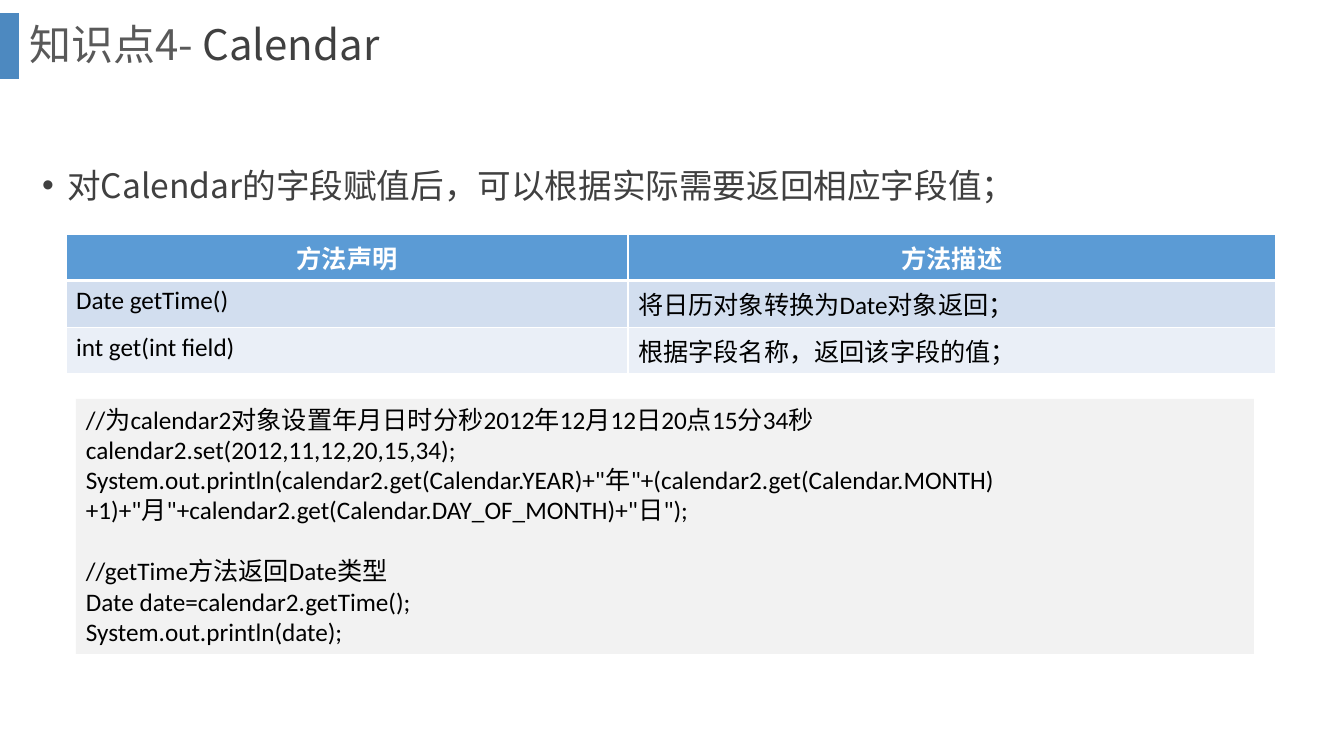
"""Build the Calendar slide with its method table and code sample."""
from lxml import etree
from pptx import Presentation
from pptx import util as u
from pptx.dml.color import RGBColor
from pptx.enum import shapes, text
from pptx.oxml.ns import qn

HEADING = [("知识点4- ", "595959"), ("Calendar", "404040")]
POINT = "对Calendar的字段赋值后，可以根据实际需要返回相应字段值；"
METHODS = [
    ("方法声明", "方法描述"),
    ("Date getTime()", "将日历对象转换为Date对象返回；"),
    ("int get(int field)", "根据字段名称，返回该字段的值；"),
]
ROW_FILLS = ["5B9BD5", "D2DEEF", "EAEFF7"]
CODE_BLOCKS = [
    [
        "//为calendar2对象设置年月日时分秒2012年12月12日20点15分34秒",
        "calendar2.set(2012,11,12,20,15,34);",
        'System.out.println(calendar2.get(Calendar.YEAR)+"年"+(calendar2.get(Calendar.MONTH)+1)'
        '+"月"+calendar2.get(Calendar.DAY_OF_MONTH)+"日");',
    ],
    [
        "//getTime方法返回Date类型",
        "Date date=calendar2.getTime();",
        "System.out.println(date);",
    ],
]
CJK, LATIN = "Noto Sans CJK SC", "Calibri"
SLIDE = (1344, 756)
BAR = (0, 13, 19, 66)
HEADING_BOX = (19, 0, 1276, 94)
POINT_BOX = (32, 140, 1215, 114)
TABLE_BOX = (66, 234, 1210, 123)
METHOD_COLUMNS = (562, 648)
CODE_BOX = (76, 399, 1178, 255)
BULLET_INDENT = 25
BLOCK_GAP = 22


def px(*lengths):
    return [u.Emu(round(length * 914400 / 100.8)) for length in lengths]


def color(value):
    return RGBColor.from_string(value)


def add(parent, tag, **attributes):
    return etree.SubElement(parent, qn(tag), attributes)


def write(paragraph, words, size=18, font=LATIN, ink="000000", bold=False,
          align=text.PP_ALIGN.LEFT, before=0, spacing=1.0):
    paragraph.alignment = align
    paragraph.space_before = u.Pt(before)
    paragraph.line_spacing = spacing
    run = paragraph.add_run()
    run.text = words
    run.font.size, run.font.name, run.font.bold = u.Pt(size), font, bold
    run.font.color.rgb = color(ink)
    add(run.font._element, "a:ea", typeface=CJK)


def add_panel(slide, box, fill):
    panel = slide.shapes.add_shape(shapes.MSO_SHAPE.RECTANGLE, *px(*box))
    panel.shadow.inherit = False
    panel.fill.solid()
    panel.fill.fore_color.rgb = color(fill)
    panel.line.fill.background()
    return panel


def place(placeholder, box, anchor):
    placeholder.left, placeholder.top, placeholder.width, placeholder.height = px(*box)
    frame = placeholder.text_frame
    frame.auto_size = text.MSO_AUTO_SIZE.NONE
    frame.vertical_anchor = anchor
    return frame.paragraphs[0]


def draw_borders(cell, top, bottom):
    properties = cell._tc.get_or_add_tcPr()
    for side, points in (("L", 1), ("R", 1), ("T", top), ("B", bottom)):
        line = add(properties, f"a:ln{side}", w=str(u.Pt(points)))
        add(add(line, "a:solidFill"), "a:srgbClr", val="FFFFFF")


def add_methods(slide):
    frame = slide.shapes.add_table(len(METHODS), len(METHOD_COLUMNS), *px(*TABLE_BOX))
    table = frame.table
    for column, width in zip(table.columns, px(*METHOD_COLUMNS)):
        column.width = width
    for r, (row, fill) in enumerate(zip(METHODS, ROW_FILLS)):
        header = r == 0
        for c, words in enumerate(row):
            cell = table.cell(r, c)
            draw_borders(cell, top=3 if r == 1 else 1, bottom=3 if header else 1)
            cell.fill.solid()
            cell.fill.fore_color.rgb = color(fill)
            write(cell.text_frame.paragraphs[0], words, bold=header,
                  ink="FFFFFF" if header else "000000",
                  align=text.PP_ALIGN.CENTER if header else text.PP_ALIGN.LEFT)


def add_code(slide):
    frame = add_panel(slide, CODE_BOX, "F2F2F2").text_frame
    frame.word_wrap = True
    frame.vertical_anchor = text.MSO_ANCHOR.TOP
    paragraph = frame.paragraphs[0]
    for b, block in enumerate(CODE_BLOCKS):
        for i, line in enumerate(block):
            if b or i:
                paragraph = frame.add_paragraph()
            write(paragraph, line, before=BLOCK_GAP if b and not i else 0)


def main():
    deck = Presentation()
    deck.slide_width, deck.slide_height = px(*SLIDE)
    slide = deck.slides.add_slide(deck.slide_layouts[1])

    bar = add_panel(slide, BAR, "2E75B6")
    add(bar.fill._xPr.find(qn("a:solidFill"))[0], "a:alpha", val="85000")

    heading = place(slide.shapes.title, HEADING_BOX, text.MSO_ANCHOR.MIDDLE)
    for words, ink in HEADING:
        write(heading, words, size=30, font=CJK, ink=ink, spacing=0.9)

    point = place(slide.placeholders[1], POINT_BOX, text.MSO_ANCHOR.TOP)
    write(point, POINT, size=24, font=CJK, ink="404040", before=10, spacing=1.5)
    bullet = point._p.get_or_add_pPr()
    indent = px(BULLET_INDENT)[0]
    bullet.set("marL", str(indent))
    bullet.set("indent", str(-indent))
    add(bullet, "a:buFont", typeface="Arial")
    add(bullet, "a:buChar", char="•")

    add_methods(slide)
    add_code(slide)
    deck.save("out.pptx")


if __name__ == "__main__":
    main()
